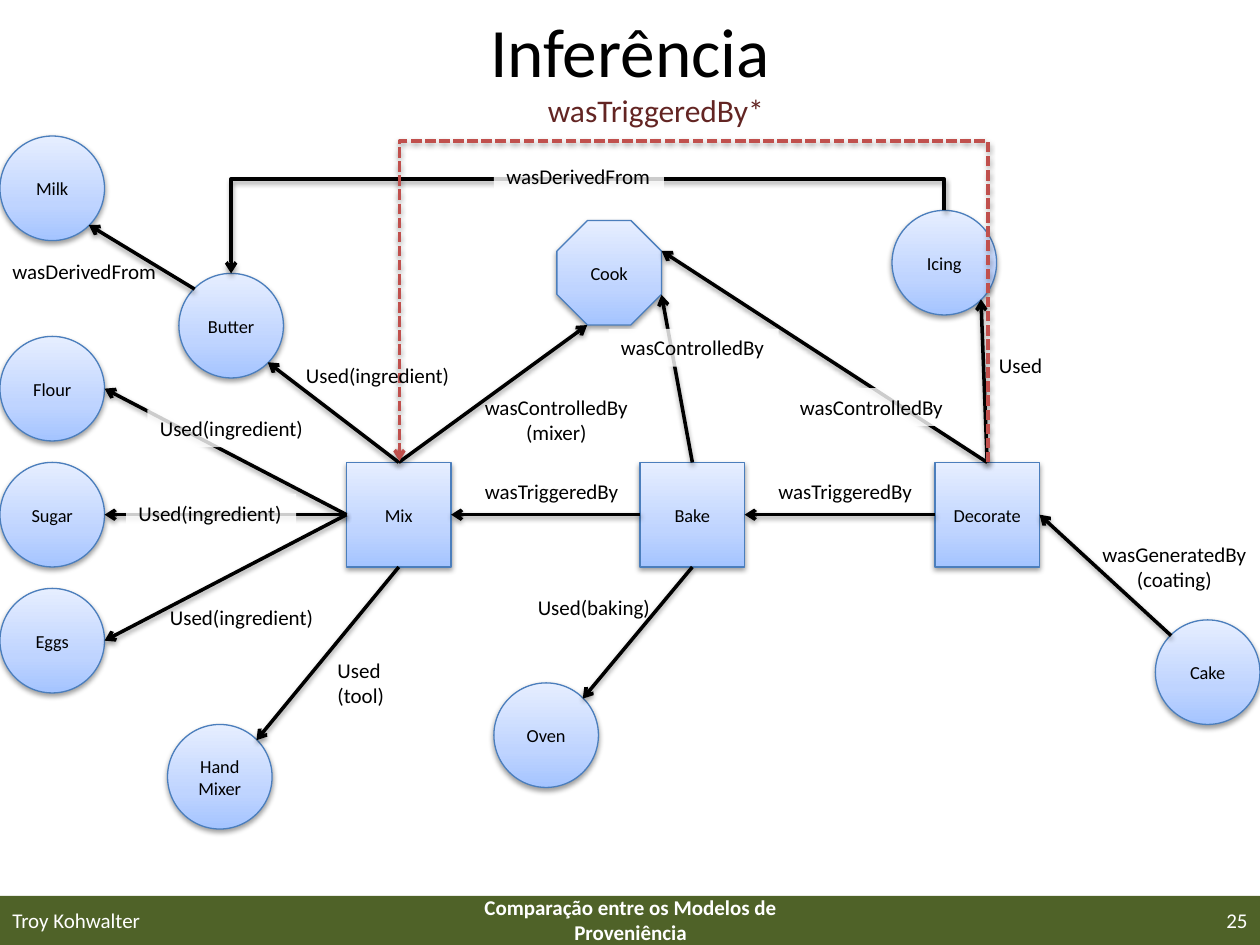
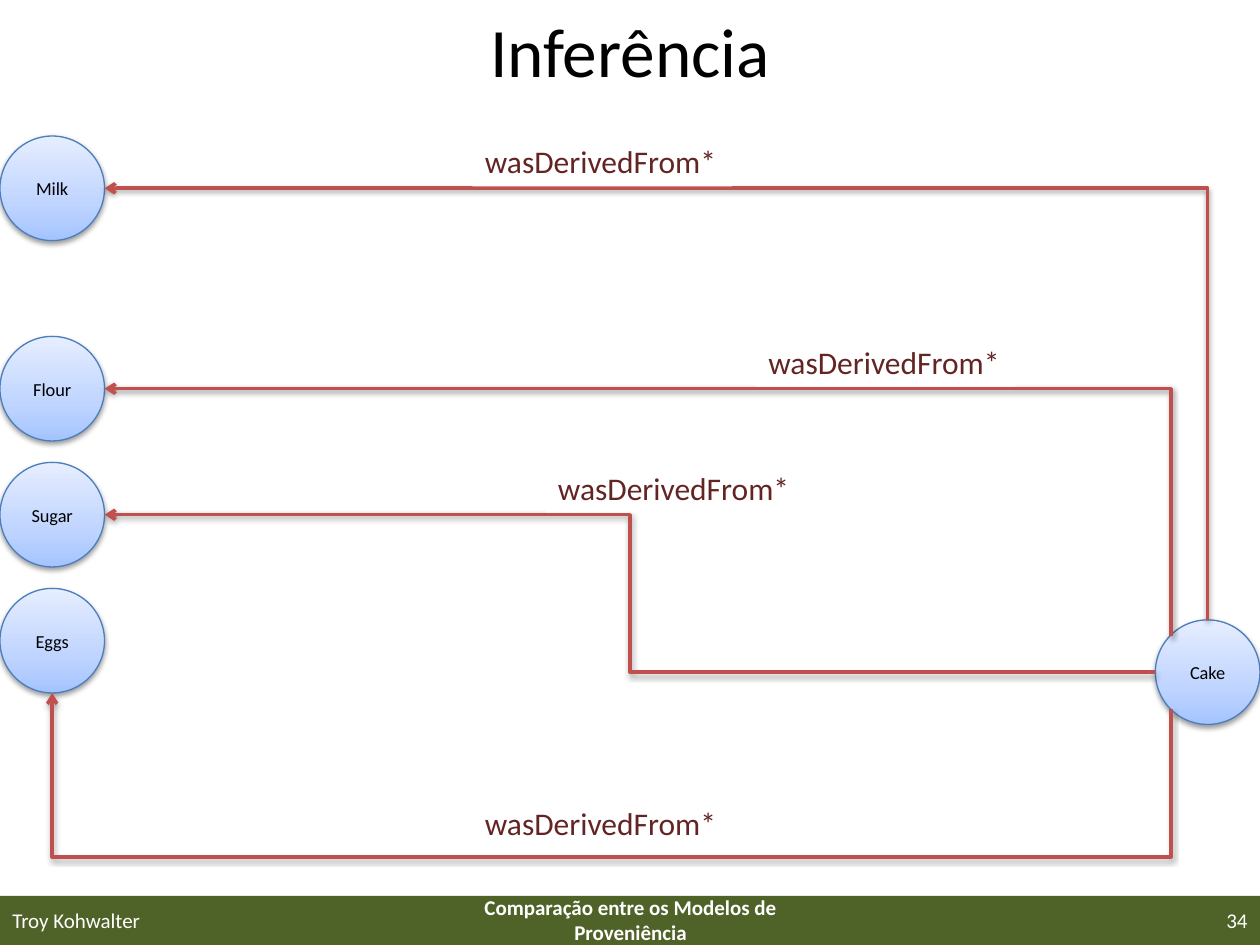
from copy import deepcopy

from lxml import etree
from pptx import Presentation
from pptx.dml.color import RGBColor
from pptx.enum.dml import MSO_LINE
from pptx.enum.shapes import MSO_CONNECTOR, MSO_SHAPE
from pptx.enum.text import MSO_ANCHOR, MSO_AUTO_SIZE, PP_ALIGN
from pptx.oxml.ns import qn
from pptx.util import Inches, Pt

FONT = "Calibri"
BLACK, WHITE = "000000", "FFFFFF"
GREEN, NODE_EDGE = "4F6228", "4B7EBC"
INFERRED, INFERRED_TEXT = "C0504D", "632523"
NODE_GRADIENT = [(0, "A4C4FF"), (0.35, "BFD4FF"), (1, "E6EEFF")]
LEFT, CENTER, RIGHT = PP_ALIGN.LEFT, PP_ALIGN.CENTER, PP_ALIGN.RIGHT

NODE_SIZE = 0.83
CIRCLE, SQUARE, OCTAGON = MSO_SHAPE.OVAL, MSO_SHAPE.RECTANGLE, MSO_SHAPE.OCTAGON
# Each node: left, top, outline
NODES = {
    "Cake": (9.17, 4.92, CIRCLE),
    "Milk": (0, 1.08, CIRCLE),
    "Flour": (0, 2.67, CIRCLE),
    "Sugar": (0, 3.67, CIRCLE),
    "Eggs": (0, 4.67, CIRCLE),
    "Butter": (1.42, 2.17, CIRCLE),
    "Oven": (3.92, 5.42, CIRCLE),
    "Icing": (7.08, 1.67, CIRCLE),
    "Hand Mixer": (1.33, 5.75, CIRCLE),
    "Cook": (4.42, 1.75, OCTAGON),
    "Mix": (2.75, 3.67, SQUARE),
    "Bake": (5.08, 3.67, SQUARE),
    "Decorate": (7.42, 3.67, SQUARE),
}
# Points on a node's edge, as shares of its size
PORTS = {
    "top": (0.5, 0), "bottom": (0.5, 1), "left": (0, 0.5), "right": (1, 0.5),
    "top left": (0.15, 0.15), "top right": (0.85, 0.15),
    "bottom left": (0.15, 0.85), "bottom right": (0.85, 0.85),
    "right upper": (1, 0.29), "right lower": (1, 0.71), "bottom west": (0.29, 1),
}


def color(code):
    return RGBColor.from_string(code)


def port(name, side):
    left, top, _ = NODES[name]
    across, down = PORTS[side]
    return left + across * NODE_SIZE, top + down * NODE_SIZE


def write(shape, text, size, ink, align=LEFT, bold=False):
    frame = shape.text_frame
    frame.text = text
    for para in frame.paragraphs:
        para.alignment = align
        for span in para.runs:
            span.font.name, span.font.size = FONT, Pt(size)
            span.font.bold = bold
            span.font.color.rgb = color(ink)


def add_shadow(shape):
    effects = etree.SubElement(shape._element.spPr, qn("a:effectLst"))
    shadow = etree.SubElement(effects, qn("a:outerShdw"), blurRad=str(Pt(3.1)),
                              dist=str(Pt(1.6)), dir="5400000", rotWithShape="0")
    tint = etree.SubElement(shadow, qn("a:srgbClr"), val=BLACK)
    etree.SubElement(tint, qn("a:alpha"), val="38000")


def add_text(page, box, text, size, ink, align=LEFT, bold=False):
    """Fixed box with wrapped text, centred vertically."""
    shape = page.shapes.add_textbox(*map(Inches, box))
    shape.text_frame.word_wrap = True
    shape.text_frame.vertical_anchor = MSO_ANCHOR.MIDDLE
    write(shape, text, size, ink, align, bold)


def add_frame(page, number):
    """Title and footer band."""
    band = page.shapes.add_shape(MSO_SHAPE.RECTANGLE, *map(Inches, (0, 7.11, 10, 0.39)))
    band.shadow.inherit = False
    band.fill.solid()
    band.fill.fore_color.rgb = color(GREEN)
    band.line.fill.background()
    add_text(page, (0, 7.1, 2.33, 0.4), "Troy Kohwalter", 12, WHITE)
    add_text(page, (3.42, 7.1, 3.17, 0.4),
             "Comparação entre os Modelos de Proveniência", 12, WHITE, CENTER, True)
    add_text(page, (7.67, 7.1, 2.33, 0.4), str(number), 12, WHITE, RIGHT)
    add_text(page, (0.5, 0, 9, 0.79), "Inferência", 39.6, BLACK, CENTER)


def add_node(page, name):
    left, top, outline = NODES[name]
    node = page.shapes.add_shape(outline, *map(Inches, (left, top, NODE_SIZE, NODE_SIZE)))
    # Three-stop gradient, light at the top
    node.fill.gradient()
    node.fill.gradient_angle = 90
    stop_list = node._element.spPr.find(".//" + qn("a:gsLst"))
    stop_list.insert(1, deepcopy(stop_list[0]))
    for stop, (position, code) in zip(node.fill.gradient_stops, NODE_GRADIENT):
        stop.position = position
        stop.color.rgb = color(code)
    node.line.color.rgb = color(NODE_EDGE)
    node.line.width = Pt(0.75)
    add_shadow(node)
    frame = node.text_frame
    frame.margin_left = frame.margin_right = frame.margin_top = frame.margin_bottom = 0
    frame.word_wrap = True
    frame.vertical_anchor = MSO_ANCHOR.MIDDLE
    write(node, name, 10.5, BLACK, CENTER)


def style_arrow(arrow, ink, dashed=False):
    arrow.line.color.rgb = color(ink)
    arrow.line.width = Pt(2)
    if dashed:
        arrow.line.dash_style = MSO_LINE.SQUARE_DOT
    etree.SubElement(arrow.line._get_or_add_ln(), qn("a:tailEnd"), type="arrow")
    add_shadow(arrow)


def add_arrow(page, start, end):
    arrow = page.shapes.add_connector(MSO_CONNECTOR.STRAIGHT, *map(Inches, start + end))
    style_arrow(arrow, BLACK)


def add_elbow(page, start, end, turn, ink, bend=None, dashed=False):
    """Bent arrow whose first leg goes down (90), left (180) or up (270).

    bend is where the middle leg lies; without it there is a single corner.
    """
    run, rise = end[0] - start[0], end[1] - start[1]
    upright = turn != 180
    width, height = (abs(rise), abs(run)) if upright else (abs(run), abs(rise))
    left = (start[0] + end[0] - width) / 2
    top = (start[1] + end[1] - height) / 2
    arrow = page.shapes.add_connector(
        MSO_CONNECTOR.ELBOW, *map(Inches, (left, top, left + width, top + height)))
    transform = arrow._element.spPr.find(qn("a:xfrm"))
    transform.set("rot", str(turn * 60000))
    if upright:
        upward = turn == 270
        transform.set("flipH", str(int(upward == (rise > 0))))
        transform.set("flipV", str(int(upward == (run < 0))))
    geometry = arrow._element.spPr.find(qn("a:prstGeom"))
    if bend is None:
        geometry.set("prst", "bentConnector2")
    else:
        axis = 1 if upright else 0
        share = (bend - start[axis]) / (end[axis] - start[axis])
        guides = geometry.find(qn("a:avLst"))
        if guides is None:
            guides = etree.SubElement(geometry, qn("a:avLst"))
        etree.SubElement(guides, qn("a:gd"), name="adj1", fmla=f"val {round(share * 100000)}")
    style_arrow(arrow, ink, dashed)


def add_label(page, box, text, size=12, ink=BLACK, align=LEFT, opacity=0):
    """Caption of an arrow, on a white ground of the given opacity in percent."""
    label = page.shapes.add_textbox(*map(Inches, box))
    label.text_frame.word_wrap = False
    label.text_frame.auto_size = MSO_AUTO_SIZE.SHAPE_TO_FIT_TEXT
    if opacity:
        label.fill.solid()
        label.fill.fore_color.rgb = color(WHITE)
        tint = label._element.spPr.find(".//" + qn("a:srgbClr"))
        etree.SubElement(tint, qn("a:alpha"), val=str(opacity * 1000))
    write(label, text, size, ink, align)


def build_triggered_page(page):
    for name in NODES:
        add_node(page, name)

    # Recorded relations
    for source, source_side, target, target_side in [
        ("Cake", "top left", "Decorate", "right"),
        ("Bake", "left", "Mix", "right"),
        ("Bake", "top", "Cook", "right lower"),
        ("Mix", "top", "Cook", "bottom west"),
        ("Bake", "bottom", "Oven", "top right"),
        ("Mix", "left", "Eggs", "right"),
        ("Mix", "left", "Sugar", "right"),
        ("Mix", "top", "Butter", "bottom right"),
        ("Mix", "left", "Flour", "right"),
        ("Butter", "top left", "Milk", "bottom right"),
        ("Decorate", "left", "Bake", "right"),
        ("Decorate", "top", "Icing", "bottom right"),
        ("Mix", "bottom", "Hand Mixer", "top right"),
        ("Decorate", "top", "Cook", "right upper"),
    ]:
        add_arrow(page, port(source, source_side), port(target, target_side))
    add_elbow(page, port("Icing", "top"), port("Butter", "top"), 270, BLACK, 1.42)

    # Inferred relation
    add_elbow(page, (7.84, 3.67), (3.17, 3.66), 270, INFERRED, 1.08, dashed=True)

    # Captions that veil the line below them
    for left, top, width, text in [
        (3.75, 3.75, 1.27, "wasTriggeredBy"),
        (6.08, 3.75, 1.27, "wasTriggeredBy"),
        (4.83, 2.61, 1.35, "wasControlledBy"),
        (6.25, 3.08, 1.35, "wasControlledBy"),
        (1.17, 3.25, 1.35, "Used(ingredient)"),
        (1, 3.92, 1.35, "Used(ingredient)"),
        (3.92, 1.25, 1.35, "wasDerivedFrom"),
    ]:
        add_label(page, (left, top, width, 0.3), text, opacity=80)
    add_label(page, (4.25, 0.67, 1.93, 0.4), "wasTriggeredBy*", 18, INFERRED_TEXT, opacity=80)

    # Captions beside their lines
    for box, text, align in [
        ((3.74, 3.08, 1.35, 0.5), "wasControlledBy\n(mixer)", CENTER),
        ((2.33, 2.83, 1.35, 0.3), "Used(ingredient)", LEFT),
        ((4.17, 4.67, 1.1, 0.3), "Used(baking)", LEFT),
        ((0, 2, 1.35, 0.3), "wasDerivedFrom", LEFT),
        ((1.25, 4.75, 1.35, 0.3), "Used(ingredient)", LEFT),
        ((7.83, 2.75, 0.55, 0.3), "Used", LEFT),
        ((2.58, 5.17, 0.58, 0.5), "Used\n(tool)", LEFT),
        ((8.64, 4.25, 1.36, 0.5), "wasGeneratedBy\n(coating)", CENTER),
    ]:
        add_label(page, box, text, align=align)


def build_derived_page(page):
    for name in ("Cake", "Milk", "Eggs", "Flour", "Sugar"):
        add_node(page, name)
    for side, target, target_side, turn, bend in [
        ("top", "Milk", "right", 270, None),
        ("top left", "Flour", "right", 270, None),
        ("left", "Sugar", "right", 180, 5),
        ("bottom left", "Eggs", "bottom", 90, 6.8),
    ]:
        add_elbow(page, port("Cake", side), port(target, target_side), turn, INFERRED, bend)
    for left, top in [(3.75, 1.08), (6, 2.67), (4.33, 3.67), (3.75, 6.33)]:
        add_label(page, (left, top, 2.06, 0.4), "wasDerivedFrom*", 18, INFERRED_TEXT, opacity=100)


def main():
    deck = Presentation()
    deck.slide_width, deck.slide_height = Inches(10), Inches(7.5)
    for number, build in [(25, build_triggered_page), (34, build_derived_page)]:
        page = deck.slides.add_slide(deck.slide_layouts[6])
        add_frame(page, number)
        build(page)
    deck.save("out.pptx")


if __name__ == "__main__":
    main()
